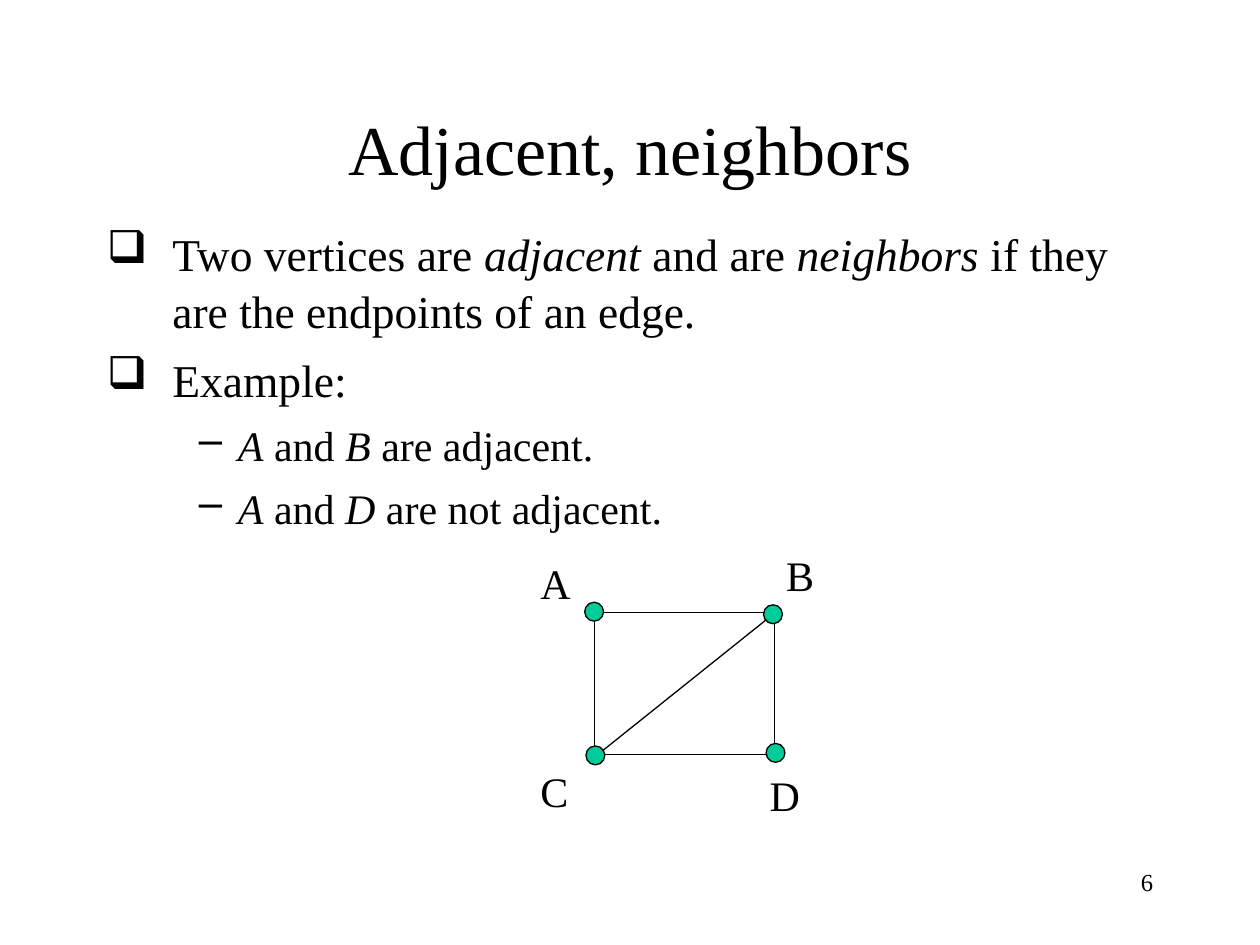
from lxml.etree import SubElement
from pptx import Presentation
from pptx.dml.color import RGBColor
from pptx.enum.shapes import MSO_CONNECTOR, MSO_SHAPE
from pptx.enum.text import MSO_ANCHOR, PP_ALIGN
from pptx.oxml.ns import qn
from pptx.util import Inches, Pt

BLACK, GREEN = "000000", "00CC99"


def color(hex_value):
    return RGBColor.from_string(hex_value)


def set_all(target, values):
    for name, value in values.items():
        setattr(target, name, value)


class SlideBuilder:
    font_name = "Times New Roman"
    line_width = Pt(0.75)

    def __init__(self, slide):
        self.slide = slide

    def text(self, box, paragraphs, anchor=MSO_ANCHOR.TOP):
        """Each paragraph is (runs, size, paragraph format, bullet or None)."""
        frame = self.slide.shapes.add_textbox(*map(Inches, box)).text_frame
        set_all(frame, {"word_wrap": True, "vertical_anchor": anchor})
        for index, (runs, size, layout, bullet) in enumerate(paragraphs):
            paragraph = frame.add_paragraph() if index else frame.paragraphs[0]
            if bullet:
                self.bullet(paragraph, *bullet)
            set_all(paragraph, layout)
            if index == 0:
                paragraph.space_before = Pt(0)
            for words, italic in runs:
                run = paragraph.add_run()
                run.text = words
                set_all(run.font, {"name": self.font_name, "size": Pt(size), "italic": italic})
                run.font.color.rgb = color(BLACK)

    def bullet(self, paragraph, symbol, left, hanging):
        properties = paragraph._p.get_or_add_pPr()
        properties.set("marL", str(Inches(left)))
        properties.set("indent", str(-Inches(hanging)))
        SubElement(properties, qn("a:buChar")).set("char", symbol)

    def outline(self, line):
        line.color.rgb = color(BLACK)
        line.width = self.line_width

    def shape(self, kind, box, fill=None):
        shape = self.slide.shapes.add_shape(kind, *map(Inches, box))
        shape.shadow.inherit = False
        if fill:
            shape.fill.solid()
            shape.fill.fore_color.rgb = color(fill)
        else:
            shape.fill.background()
        self.outline(shape.line)

    def edge(self, start, end):
        edge = self.slide.shapes.add_connector(
            MSO_CONNECTOR.STRAIGHT, *map(Inches, start + end))
        SubElement(edge._element.spPr, qn("a:effectLst"))
        self.outline(edge.line)


def main():
    presentation = Presentation()
    set_all(presentation, {"slide_width": Inches(10), "slide_height": Inches(7.5)})
    builder = SlideBuilder(presentation.slides.add_slide(presentation.slide_layouts[6]))

    # Title
    builder.text((0.75, 0.67, 8.5, 1),
                 [([("Adjacent, neighbors", False)], 40, {"alignment": PP_ALIGN.CENTER}, None)],
                 MSO_ANCHOR.MIDDLE)

    # Definition and example
    main_point = (26, {"space_before": Pt(6.5), "line_spacing": 1.05}, ("❑", 0.52, 0.52))
    sub_point = (24, {"space_before": Pt(6), "line_spacing": 1.05, "level": 1}, ("–", 1.04, 0.31))
    definition = [("Two vertices are ", False), ("adjacent", True), (" and are ", False),
                  ("neighbors", True), (" if they are the endpoints of an edge.", False)]
    points = [(definition, *main_point), ([("Example:", False)], *main_point)]
    for other, statement in (("B", " are adjacent."), ("D", " are not adjacent.")):
        points.append(([("A", True), (" and ", False), (other, True), (statement, False)],
                       *sub_point))
    builder.text((0.75, 1.72, 8.5, 4.94), points)

    # Graph: outer edges, vertices, diagonal
    builder.shape(MSO_SHAPE.RECTANGLE, (4.72, 4.86, 1.43, 1.13))
    vertex_size = 0.15
    for corner in ((6.06, 4.8), (4.64, 4.78), (6.08, 5.9), (4.65, 5.92)):
        builder.shape(MSO_SHAPE.OVAL, (*corner, vertex_size, vertex_size), GREEN)
    builder.edge((4.78, 5.96), (6.08, 4.92))

    # Vertex labels
    labels = {"A": (4.19, 4.36, 0.47), "B": (6.14, 4.29, 0.54),
              "C": (4.19, 6.01, 0.45), "D": (6.01, 6.04, 0.62)}
    for letter, place in labels.items():
        builder.text((*place, 0.5), [([(letter, False)], 24, {"line_spacing": 1.05}, None)])

    # Slide number
    builder.text((7.17, 6.83, 2.08, 0.5),
                 [([("6", False)], 14, {"alignment": PP_ALIGN.RIGHT}, None)])

    presentation.save("out.pptx")


if __name__ == "__main__":
    main()
